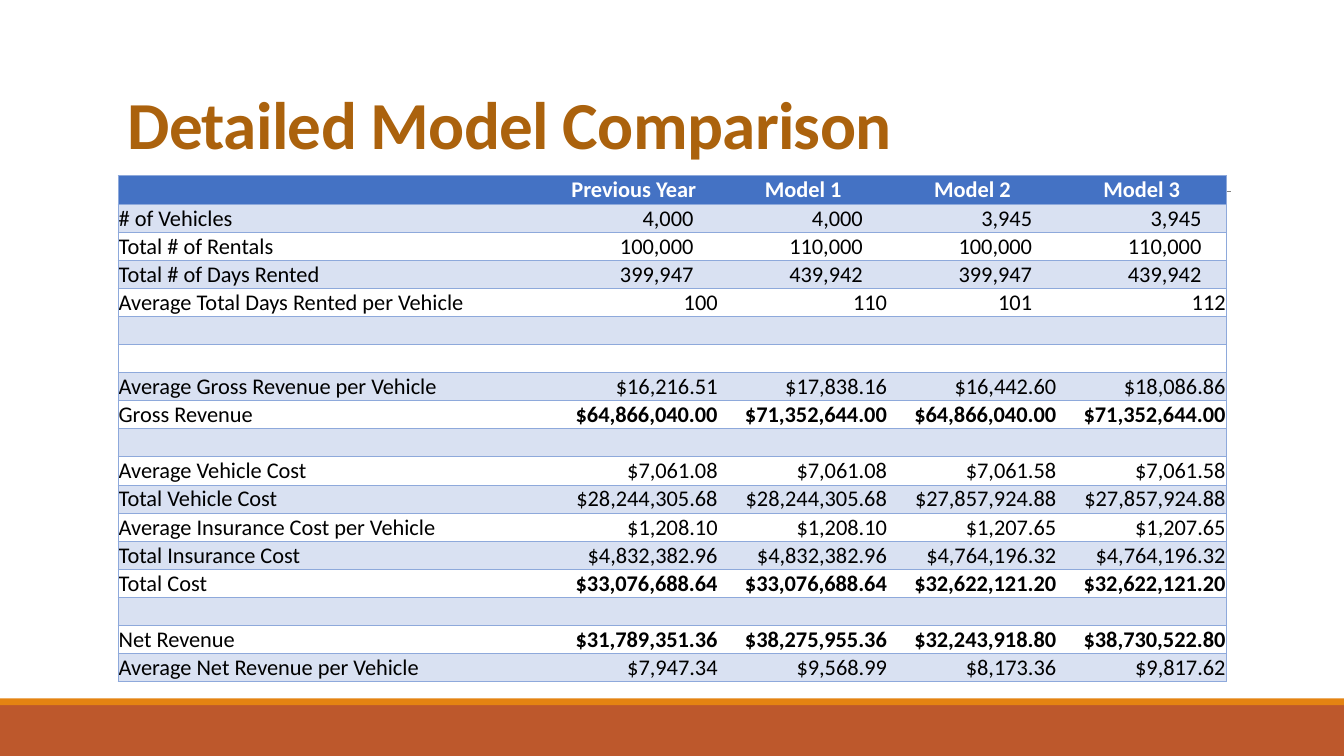
from lxml import etree
from pptx import Presentation
from pptx.dml.color import RGBColor
from pptx.enum.shapes import MSO_CONNECTOR, MSO_SHAPE
from pptx.enum.text import MSO_ANCHOR, PP_ALIGN
from pptx.oxml.ns import qn
from pptx.util import Cm, Pt

RECT, STRAIGHT = MSO_SHAPE.RECTANGLE, MSO_CONNECTOR.STRAIGHT
BOTTOM = MSO_ANCHOR.BOTTOM
LEFT, CENTER, RIGHT = PP_ALIGN.LEFT, PP_ALIGN.CENTER, PP_ALIGN.RIGHT

RUST = RGBColor(0xBD, 0x58, 0x2C)
ORANGE = RGBColor(0xE4, 0x83, 0x12)
BROWN = RGBColor(0xAB, 0x62, 0x0D)
GREY = RGBColor(0x80, 0x80, 0x80)
BLUE = RGBColor(0x44, 0x72, 0xC4)
PALE_BLUE = RGBColor(0xD9, 0xE1, 0xF2)
BORDER = RGBColor(0x8E, 0xA9, 0xDB)
WHITE = RGBColor(0xFF, 0xFF, 0xFF)
BLACK = RGBColor(0, 0, 0)

FONT = "Calibri"
WIDTH, HEIGHT = 33.87, 19.05
BODY_SIZE = 16
CELL_INSET, COUNT_INSET = 0.02, 0.63

HEADERS = ["", "Previous Year", "Model 1", "Model 2", "Model 3"]
BLANK = [""] * 5
ROWS = [
    HEADERS,
    ["# of Vehicles", "4,000", "4,000", "3,945", "3,945"],
    ["Total # of Rentals", "100,000", "110,000", "100,000", "110,000"],
    ["Total # of Days Rented", "399,947", "439,942", "399,947", "439,942"],
    ["Average Total Days Rented per Vehicle", "100", "110", "101", "112"],
    BLANK,
    BLANK,
    ["Average Gross Revenue per Vehicle", "$16,216.51", "$17,838.16", "$16,442.60", "$18,086.86"],
    ["Gross Revenue", "$64,866,040.00", "$71,352,644.00", "$64,866,040.00", "$71,352,644.00"],
    BLANK,
    ["Average Vehicle Cost", "$7,061.08", "$7,061.08", "$7,061.58", "$7,061.58"],
    ["Total Vehicle Cost", "$28,244,305.68", "$28,244,305.68", "$27,857,924.88", "$27,857,924.88"],
    ["Average Insurance Cost per Vehicle", "$1,208.10", "$1,208.10", "$1,207.65", "$1,207.65"],
    ["Total Insurance Cost", "$4,832,382.96", "$4,832,382.96", "$4,764,196.32", "$4,764,196.32"],
    ["Total Cost", "$33,076,688.64", "$33,076,688.64", "$32,622,121.20", "$32,622,121.20"],
    BLANK,
    ["Net Revenue", "$31,789,351.36", "$38,275,955.36", "$32,243,918.80", "$38,730,522.80"],
    ["Average Net Revenue per Vehicle", "$7,947.34", "$9,568.99", "$8,173.36", "$9,817.62"],
]
BOLD_ROWS = {"Gross Revenue", "Total Cost", "Net Revenue"}
COUNT_ROWS = {"# of Vehicles", "Total # of Rentals", "Total # of Days Rented"}


def write(tf, text, size=BODY_SIZE, color=BLACK, bold=False, align=LEFT, spacing=None, tracking=None):
    p = tf.paragraphs[0]
    p.alignment = align
    p.line_spacing = spacing
    if not text:
        # An empty cell still needs its text size to keep the row low
        etree.SubElement(p._p, qn("a:endParaRPr"), sz=str(size * 100))
        return
    r = p.add_run()
    r.text = text
    r.font.name, r.font.size, r.font.bold = FONT, Pt(size), bold
    r.font.color.rgb = color
    if tracking:
        r.font._element.set("spc", str(int(tracking * 100)))


def add_bar(s, x, y, w, h, color):
    sp = s.shapes.add_shape(RECT, Cm(x), Cm(y), Cm(w), Cm(h))
    sp.shadow.inherit = False
    sp.fill.solid()
    sp.fill.fore_color.rgb = color
    sp.line.fill.background()


def add_footer(s, x, y, w, h):
    stripe = 0.17
    add_bar(s, x, y + stripe, w, h - stripe, RUST)
    add_bar(s, x, y, w, stripe, ORANGE)


def add_rule(s, x, y, w):
    line = s.shapes.add_connector(STRAIGHT, Cm(x), Cm(y), Cm(x + w), Cm(y))
    line.line.color.rgb = GREY
    line.line.width = Pt(0.5)
    etree.SubElement(line._element.spPr, qn("a:effectLst"))


def add_title(s, x, y, w, h):
    tf = s.shapes.add_textbox(Cm(x), Cm(y), Cm(w), Cm(h)).text_frame
    tf.word_wrap = True
    tf.vertical_anchor = BOTTOM
    write(tf, "Detailed Model Comparison", size=48, color=BROWN, bold=True,
          spacing=0.85, tracking=-0.5)


def set_borders(cell, visible):
    tc_pr = cell._tc.get_or_add_tcPr()
    for side in "LRTB":
        ln = etree.SubElement(tc_pr, qn(f"a:ln{side}"), w=str(Pt(0.5)))
        if side in visible:
            fill = etree.SubElement(ln, qn("a:solidFill"))
            etree.SubElement(fill, qn("a:srgbClr"), val=str(BORDER))
        else:
            etree.SubElement(ln, qn("a:noFill"))


def set_fill(cell, row):
    if row % 2 == 0 and row > 0:
        cell.fill.background()
    else:
        cell.fill.solid()
        cell.fill.fore_color.rgb = PALE_BLUE if row else BLUE


def cell_format(row, col, label):
    if row == 0:
        return dict(color=WHITE, bold=True, align=CENTER)
    if col == 0:
        return dict(align=LEFT)
    return dict(bold=label in BOLD_ROWS, align=RIGHT)


def add_comparison(s, x, y, w, h):
    n_rows, n_cols = len(ROWS), len(HEADERS)
    table = s.shapes.add_table(n_rows, n_cols, Cm(x), Cm(y), Cm(w), Cm(h)).table
    table.first_row = table.horz_banding = False
    label_w = 10.87
    for col, column in enumerate(table.columns):
        column.width = Cm((w - label_w) / (n_cols - 1) if col else label_w)
    for row, values in enumerate(ROWS):
        table.rows[row].height = Cm(h / n_rows)
        for col, text in enumerate(values):
            cell = table.cell(row, col)
            set_borders(cell, "TB" + {0: "L", n_cols - 1: "R"}.get(col, ""))
            set_fill(cell, row)
            # Counts stand clear of the right edge
            is_count = col > 0 and (values[0] in COUNT_ROWS or text == "101")
            cell.margin_left = cell.margin_top = Cm(CELL_INSET)
            cell.margin_right = Cm(COUNT_INSET if is_count else CELL_INSET)
            cell.margin_bottom = 0
            cell.vertical_anchor = BOTTOM
            write(cell.text_frame, text, **cell_format(row, col, values[0]))


prs = Presentation()
prs.slide_width, prs.slide_height = Cm(WIDTH), Cm(HEIGHT)
s = prs.slides.add_slide(prs.slide_layouts[6])

add_footer(s, 0, 17.6, WIDTH, HEIGHT - 17.6)
add_rule(s, 3.33, 4.83, 27.68)
add_title(s, 2.97, 1.65, 27.94, 2.6)
add_comparison(s, 2.97, 4.43, 27.94, 12.75)

prs.save("out.pptx")
